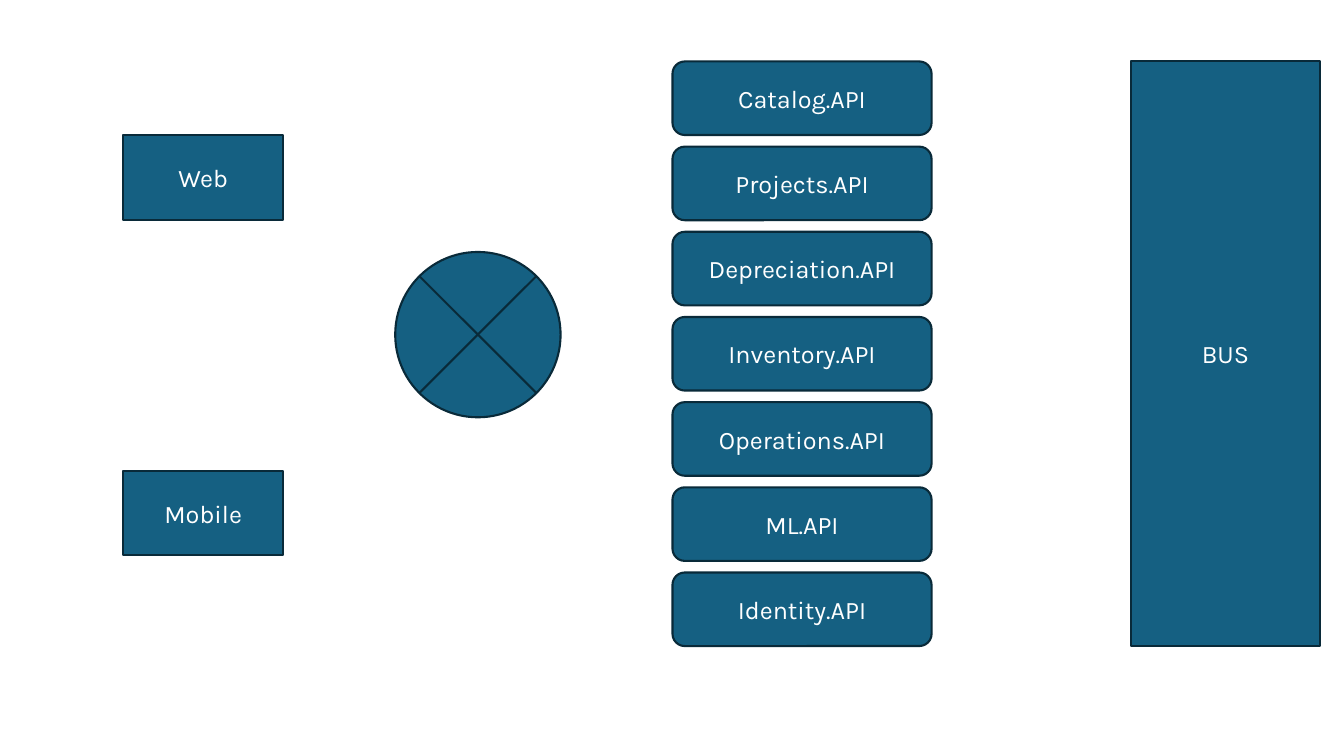
from pptx import Presentation
from pptx.dml.color import RGBColor
from pptx.enum.shapes import MSO_SHAPE
from pptx.enum.text import MSO_ANCHOR, PP_ALIGN
from pptx.util import Pt

PX = 9144  # EMU per px, 100 px to the inch
SLIDE_WIDTH, SLIDE_HEIGHT = 1333, 750

RECTANGLE = MSO_SHAPE.RECTANGLE
ROUNDED = MSO_SHAPE.ROUNDED_RECTANGLE
JUNCTION = MSO_SHAPE.FLOWCHART_SUMMING_JUNCTION
MIDDLE = MSO_ANCHOR.MIDDLE
CENTER = PP_ALIGN.CENTER

BLUE = RGBColor(0x15, 0x60, 0x82)
NAVY = RGBColor(0x09, 0x2A, 0x39)
WHITE = RGBColor(0xFF, 0xFF, 0xFF)

LABEL_FORMAT = {"name": "Karla", "size": Pt(18)}

CLIENTS = ["Web", "Mobile"]
SERVICES = ["Catalog.API", "Projects.API", "Depreciation.API", "Inventory.API",
            "Operations.API", "ML.API", "Identity.API"]


def add_node(slide, kind, box, label=""):
    """Draw one outlined shape, with a centred label if it has one."""
    shape = slide.shapes.add_shape(kind, *(round(length * PX) for length in box))
    shape.shadow.inherit = False
    shape.fill.solid()
    shape.fill.fore_color.rgb = BLUE
    shape.line.color.rgb = NAVY
    shape.line.width = Pt(1.5)
    if label:
        shape.text_frame.vertical_anchor = MIDDLE
        paragraph = shape.text_frame.paragraphs[0]
        paragraph.alignment = CENTER
        run = paragraph.add_run()
        run.text = label
        for attribute, value in LABEL_FORMAT.items():
            setattr(run.font, attribute, value)
        run.font.color.rgb = WHITE


def add_column(slide, kind, box, labels, node_height):
    """Spread equal nodes evenly from the top to the bottom of the box."""
    left, top, width, height = box
    pitch = (height - node_height) / (len(labels) - 1)
    for index, label in enumerate(labels):
        node_box = (left, top + index * pitch, width, node_height)
        add_node(slide, kind, node_box, label)


def build_architecture(slide, box):
    """Lay out clients, services, gateway and bus from left to right."""
    left, top, width, height = box
    bus_width = 187
    # Client applications
    add_column(slide, RECTANGLE, (left, top + 73, 159, 417), CLIENTS, 84)
    # Services
    add_column(slide, ROUNDED, (left + 545, top, 257, height), SERVICES, 73)
    # Gateway
    add_node(slide, JUNCTION, (left + 270, top + 189, 164, 164))
    # Message bus
    add_node(slide, RECTANGLE,
             (left + width - bus_width, top, bus_width, height), "BUS")


def main():
    presentation = Presentation()
    presentation.slide_width = SLIDE_WIDTH * PX
    presentation.slide_height = SLIDE_HEIGHT * PX
    slide = presentation.slides.add_slide(presentation.slide_layouts[6])
    build_architecture(slide, (122, 61, 1187, 580))
    presentation.save("out.pptx")


if __name__ == "__main__":
    main()
